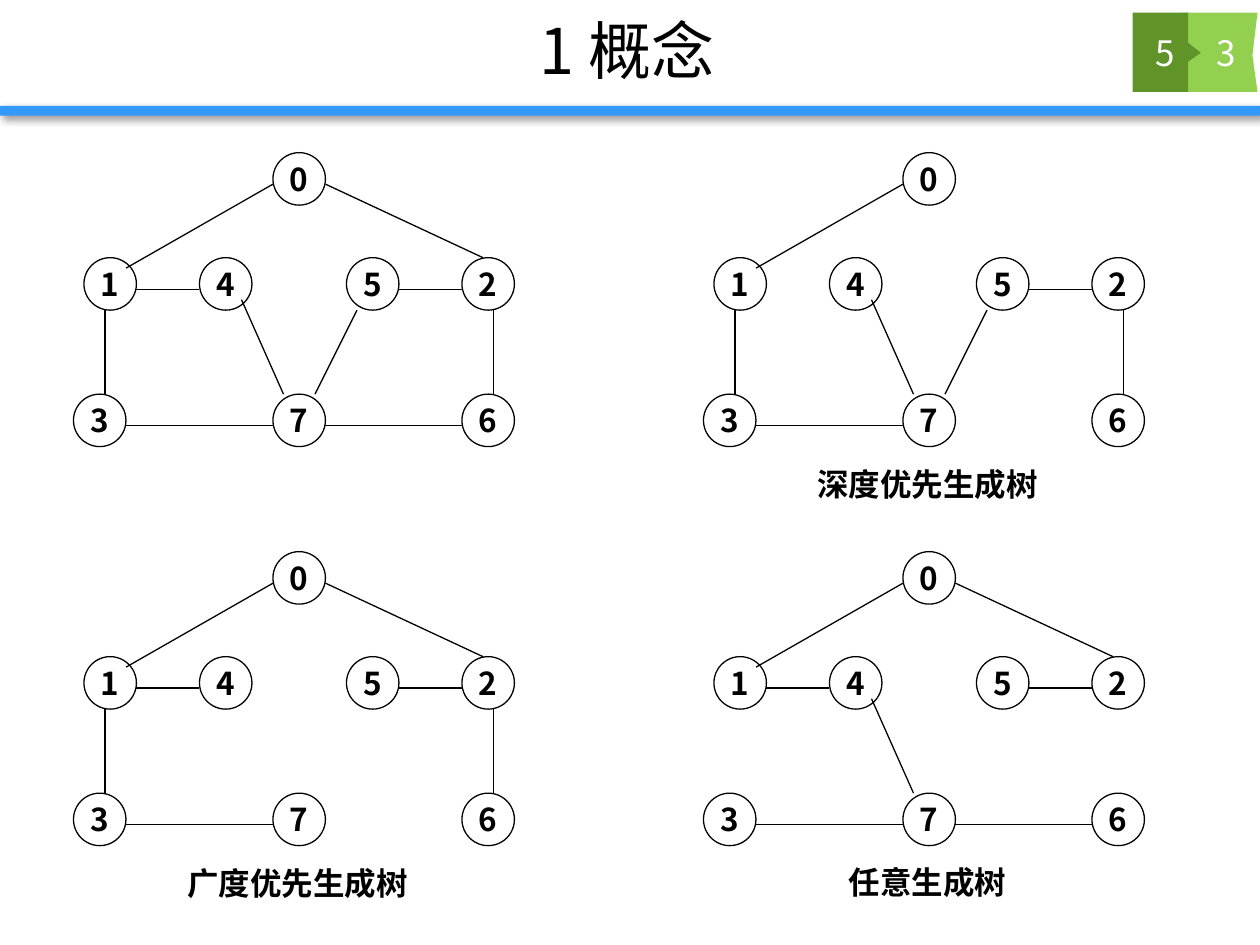
from dataclasses import dataclass

from lxml import etree
from pptx import Presentation
from pptx.dml.color import RGBColor
from pptx.enum.shapes import MSO_CONNECTOR, MSO_SHAPE
from pptx.enum.text import MSO_ANCHOR, MSO_AUTO_SIZE, PP_ALIGN
from pptx.oxml import parse_xml
from pptx.oxml.ns import qn
from pptx.util import Pt

LEFT, CENTER = PP_ALIGN.LEFT, PP_ALIGN.CENTER
MIDDLE, TOP = MSO_ANCHOR.MIDDLE, MSO_ANCHOR.TOP
FIT_SHAPE, NO_FIT = MSO_AUTO_SIZE.SHAPE_TO_FIT_TEXT, MSO_AUTO_SIZE.NONE
OVAL, RECTANGLE = MSO_SHAPE.OVAL, MSO_SHAPE.RECTANGLE
STRAIGHT = MSO_CONNECTOR.STRAIGHT
TITLE_ONLY = 5


@dataclass(frozen=True)
class Theme:
    font: str = "Noto Sans CJK SC"
    ink: str = "000000"
    white: str = "FFFFFF"
    bar: str = "3399FF"
    badge_light: str = "93D050"
    badge_dark: str = "619428"
    title_size: int = 36
    badge_size: int = 20
    label_size: int = 18
    line_width: float = 0.75


THEME = Theme()

NODE_SIZE = 30
NODES = {
    0: (114, 0), 1: (6, 60), 2: (222, 60), 5: (156, 60),
    4: (72, 60), 6: (222, 138), 7: (114, 138), 3: (0, 138),
}
EDGES = {
    "0-1": (114, 18, 30, 66),
    "0-2": (144, 18, 234, 60),
    "1-3": (18, 90, 18, 138),
    "2-6": (240, 90, 240, 138),
    "3-7": (30, 156, 114, 156),
    "7-6": (144, 156, 222, 156),
    "1-4": (36, 78, 72, 78),
    "5-2": (186, 78, 222, 78),
    "4-7": (96, 84, 120, 138),
    "5-7": (162, 90, 138, 138),
}
COLUMNS = (42, 402)
ROWS = (87.25, 315.25)
GRAPHS = (
    (0, 0, EDGES),
    (1, 0, ("0-1", "1-3", "2-6", "3-7", "5-2", "4-7", "5-7")),
    (0, 1, ("0-1", "0-2", "1-3", "2-6", "3-7", "1-4", "5-2")),
    (1, 1, ("0-1", "0-2", "3-7", "7-6", "1-4", "5-2", "4-7")),
)
CAPTIONS = (
    ("深度优先生成树", 460, 262, 142),
    ("广度优先生成树", 100, 490, 142),
    ("任意生成树", 478, 489.5, 105),
)
BADGE_LIGHT = (
    (675.4, 7.2), (718.6, 7.2), (715.7, 31.7), (718.6, 52.6), (675.4, 52.6),
)
BADGE_DARK = (
    (647.3, 7.2), (679, 7.2), (679, 24.5), (686.2, 30.2),
    (679, 35.3), (679, 52.6), (647.3, 52.6),
)
BADGE_NUMBERS = (("3", 678.2), ("5", 643.7))

DRAWING = "http://schemas.openxmlformats.org/drawingml/2006/main"
BAR_SHADOW = (
    f'<a:effectLst xmlns:a="{DRAWING}">'
    '<a:outerShdw blurRad="50800" dist="38100" dir="2700000" algn="tl" rotWithShape="0">'
    '<a:srgbClr val="000000"><a:alpha val="40000"/></a:srgbClr>'
    "</a:outerShdw></a:effectLst>"
)


def color(value):
    return RGBColor.from_string(value)


def set_text(shape, text, size, ink=THEME.ink, bold=False, align=CENTER,
             anchor=MIDDLE, wrap=True):
    frame = shape.text_frame
    frame.text = text
    frame.word_wrap = wrap
    frame.vertical_anchor = anchor
    para = frame.paragraphs[0]
    para.alignment = align
    for span in para.runs:
        span.font.name = THEME.font
        span.font.size = Pt(size)
        span.font.bold = bold
        span.font.color.rgb = color(ink)
        properties = span.font._element if hasattr(span.font, "_element") else span.font._rPr
        etree.SubElement(properties, qn("a:ea"), typeface=THEME.font)
    return frame


def add_title(page, text):
    title = page.shapes.title
    title.left, title.top, title.width, title.height = Pt(70.5), Pt(0.7), Pt(575.3), Pt(55.4)
    set_text(title, text, THEME.title_size).auto_size = NO_FIT


def add_bar(page):
    bar = page.shapes.add_shape(RECTANGLE, 0, Pt(60.5), Pt(720), Pt(5.6))
    bar.fill.solid()
    bar.fill.fore_color.rgb = color(THEME.bar)
    bar.line.fill.background()
    bar._element.spPr.append(parse_xml(BAR_SHADOW))


def add_badge(group, points, fill):
    corners = [(Pt(x), Pt(y)) for x, y in points]
    builder = group.shapes.build_freeform(*corners[0])
    builder.add_line_segments(corners[1:], close=True)
    badge = builder.convert_to_shape()
    badge.shadow.inherit = False
    badge.fill.solid()
    badge.fill.fore_color.rgb = color(fill)
    badge.line.fill.background()


def add_badge_number(page, text, left):
    box = page.shapes.add_textbox(Pt(left), Pt(7.2), Pt(44.6), Pt(45.4))
    set_text(box, text, THEME.badge_size, ink=THEME.white)


def add_node(group, label, left, top):
    node = group.shapes.add_shape(OVAL, Pt(left), Pt(top), Pt(NODE_SIZE), Pt(NODE_SIZE))
    node.shadow.inherit = False
    node.fill.background()
    node.line.color.rgb = color(THEME.ink)
    node.line.width = Pt(THEME.line_width)
    set_text(node, str(label), THEME.label_size, bold=True, wrap=False)


def add_edge(group, *ends):
    edge = group.shapes.add_connector(STRAIGHT, *(Pt(end) for end in ends))
    edge.line.color.rgb = color(THEME.ink)
    edge.line.width = Pt(THEME.line_width)
    etree.SubElement(edge._element.spPr, qn("a:effectLst"))


def add_graph(page, left, top, edge_names):
    group = page.shapes.add_group_shape()
    for label, (x, y) in NODES.items():
        add_node(group, label, left + x, top + y)
    for name in edge_names:
        x1, y1, x2, y2 = EDGES[name]
        add_edge(group, left + x1, top + y1, left + x2, top + y2)


def add_caption(page, text, left, top, width):
    box = page.shapes.add_textbox(Pt(left), Pt(top), Pt(width), Pt(29))
    frame = set_text(box, text, THEME.label_size, bold=True, align=LEFT,
                     anchor=TOP, wrap=False)
    frame.auto_size = FIT_SHAPE


def main():
    deck = Presentation()
    deck.slide_width, deck.slide_height = Pt(720), Pt(540)
    page = deck.slides.add_slide(deck.slide_layouts[TITLE_ONLY])
    add_title(page, "1 概念")
    add_bar(page)
    badges = page.shapes.add_group_shape()
    add_badge(badges, BADGE_LIGHT, THEME.badge_light)
    add_badge(badges, BADGE_DARK, THEME.badge_dark)
    for text, left in BADGE_NUMBERS:
        add_badge_number(page, text, left)
    for column, row, edge_names in GRAPHS:
        add_graph(page, COLUMNS[column], ROWS[row], edge_names)
    for caption in CAPTIONS:
        add_caption(page, *caption)
    deck.save("out.pptx")


if __name__ == "__main__":
    main()
